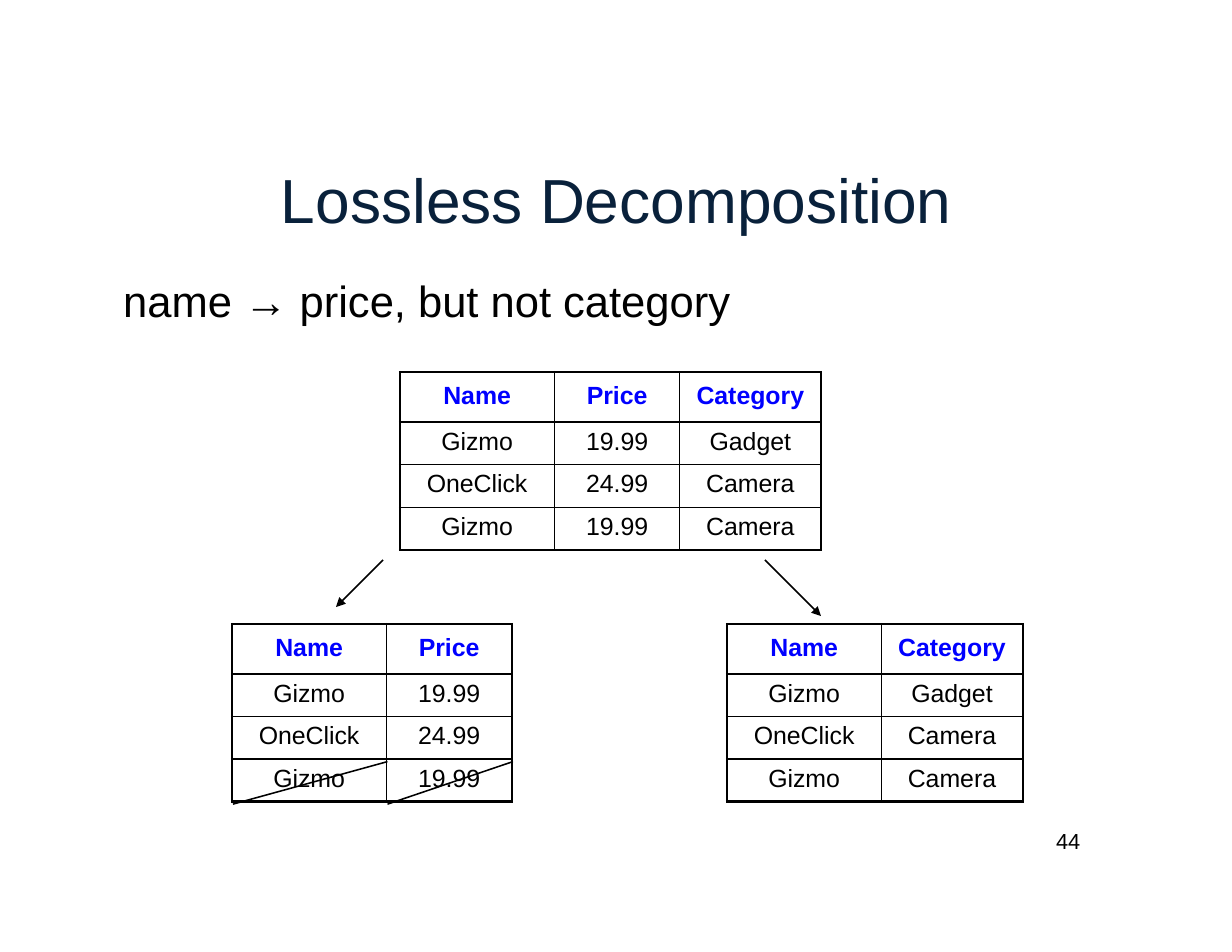
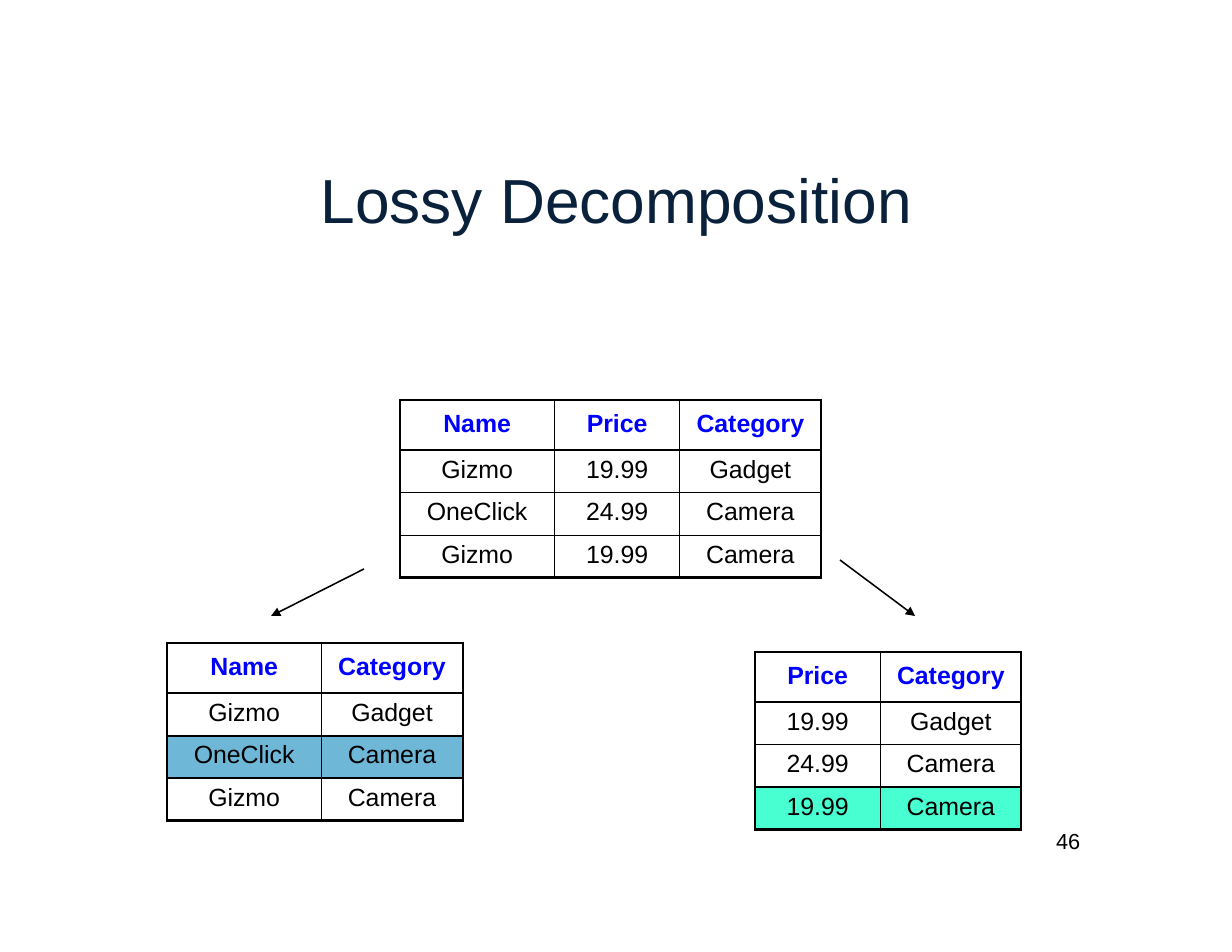
from lxml.etree import SubElement
from pptx import Presentation
from pptx.dml.color import RGBColor
from pptx.enum.shapes import MSO_CONNECTOR
from pptx.enum.text import PP_ALIGN
from pptx.oxml.ns import qn
from pptx.util import Inches, Pt

FONT = "Arial"
BLACK, NAVY, BLUE = "000000", "09213B", "0000FF"
SKY, MINT = "6FB7D7", "47FFD1"

COLUMN_WIDTHS = {"Name": 1.38, "Price": 1.12, "Category": 1.26}
ROW_HEIGHTS = [0.45, 0.38, 0.38, 0.38]
RECORDS = [
    {"Name": "Gizmo", "Price": "19.99", "Category": "Gadget"},
    {"Name": "OneClick", "Price": "24.99", "Category": "Camera"},
    {"Name": "Gizmo", "Price": "19.99", "Category": "Camera"},
]
ALL_COLUMNS = list(COLUMN_WIDTHS)

# Tables: left, top, columns, last two rule widths, highlighted row colours.
# Lines: x and y of the start, x and y of the end.
SLIDES = [
    {
        "title": "Lossless Decomposition",
        "statement": "name → price, but not category",
        "number": "44",
        "tables": [
            (3.57, 3.32, ALL_COLUMNS, (1, 1.5), {}),
            (2.07, 5.57, ["Name", "Price"], (1.5, 2.25), {}),
            (6.49, 5.57, ["Name", "Category"], (1.5, 2.25), {}),
        ],
        "strikes": [(2.08, 7.18, 3.46, 6.8), (3.46, 7.18, 4.58, 6.8)],
        "arrows": [(3.42, 5, 3, 5.42), (6.83, 5, 7.33, 5.5)],
    },
    {
        "title": "Lossy Decomposition",
        "statement": None,
        "number": "46",
        "tables": [
            (3.57, 3.57, ALL_COLUMNS, (1, 2.25), {}),
            (1.49, 5.74, ["Name", "Category"], (1.5, 2.25), {2: SKY}),
            (6.74, 5.82, ["Price", "Category"], (1.5, 2.25), {3: MINT}),
        ],
        "strikes": [],
        "arrows": [(3.25, 5.08, 2.42, 5.5), (7.5, 5, 8.17, 5.5)],
    },
]


def style_paragraph(paragraph, text, size, color, alignment=PP_ALIGN.LEFT, bold=False):
    paragraph.text = text
    paragraph.alignment = alignment
    paragraph.font.name = FONT
    paragraph.font.size = Pt(size)
    paragraph.font.bold = bold
    paragraph.font.color.rgb = RGBColor.from_string(color)


presentation = Presentation()
presentation.slide_width, presentation.slide_height = Inches(11), Inches(8.5)

for content in SLIDES:
    slide = presentation.slides.add_slide(presentation.slide_layouts[6])

    texts = [
        (content["title"], 2.49, 1.43, 6.02, 0.7, 40, NAVY, PP_ALIGN.CENTER),
        (content["statement"], 1.1, 2.44, 5.45, 0.5, 28, BLACK, PP_ALIGN.LEFT),
        (content["number"], 9.43, 7.38, 0.3, 0.25, 14, BLACK, PP_ALIGN.LEFT),
    ]
    for text, left, top, width, height, size, color, alignment in texts:
        if not text:
            continue
        box = slide.shapes.add_textbox(Inches(left), Inches(top), Inches(width), Inches(height))
        frame = box.text_frame
        frame.word_wrap = True
        frame.margin_left = frame.margin_right = frame.margin_bottom = 0
        frame.margin_top = Inches(0.01)
        style_paragraph(frame.paragraphs[0], text, size, color, alignment)

    lines = [(ends, False) for ends in content["strikes"]]
    lines += [(ends, True) for ends in content["arrows"]]
    for ends, has_head in lines:
        connector = slide.shapes.add_connector(
            MSO_CONNECTOR.STRAIGHT, *[Inches(value) for value in ends])
        connector.line.width = Pt(1)
        connector.line.color.rgb = RGBColor.from_string(BLACK)
        if has_head:
            SubElement(connector.line._get_or_add_ln(), qn("a:tailEnd"), type="triangle")
        SubElement(connector._element.spPr, qn("a:effectLst"))

    for left, top, columns, last_rules, highlights in content["tables"]:
        widths = [COLUMN_WIDTHS[name] for name in columns]
        table = slide.shapes.add_table(
            len(ROW_HEIGHTS), len(columns), Inches(left), Inches(top),
            Inches(sum(widths)), Inches(sum(ROW_HEIGHTS))).table
        table.first_row = table.horz_banding = False
        for column, width in zip(table.columns, widths):
            column.width = Inches(width)
        for row, height in zip(table.rows, ROW_HEIGHTS):
            row.height = Inches(height)

        column_rules = [1.5] + [1] * (len(columns) - 1) + [1.5]
        row_rules = [1.5, 1.5, 1, *last_rules]
        for row_index in range(len(ROW_HEIGHTS)):
            is_header = row_index == 0
            for column_index, name in enumerate(columns):
                cell = table.cell(row_index, column_index)
                cell.margin_left = cell.margin_right = cell.margin_bottom = 0
                cell.margin_top = Inches(0.09 if is_header else 0.05)
                style_paragraph(
                    cell.text_frame.paragraphs[0],
                    name if is_header else RECORDS[row_index - 1][name],
                    16, BLUE if is_header else BLACK, PP_ALIGN.CENTER, is_header)

                borders = {
                    "a:lnL": column_rules[column_index],
                    "a:lnR": column_rules[column_index + 1],
                    "a:lnT": row_rules[row_index],
                    "a:lnB": row_rules[row_index + 1],
                }
                properties = cell._tc.get_or_add_tcPr()
                for tag, width in borders.items():
                    border = SubElement(properties, qn(tag), w=str(Pt(width)))
                    fill = SubElement(border, qn("a:solidFill"))
                    SubElement(fill, qn("a:srgbClr"), val=BLACK)

                if row_index in highlights:
                    cell.fill.solid()
                    cell.fill.fore_color.rgb = RGBColor.from_string(highlights[row_index])
                else:
                    cell.fill.background()

presentation.save("out.pptx")
